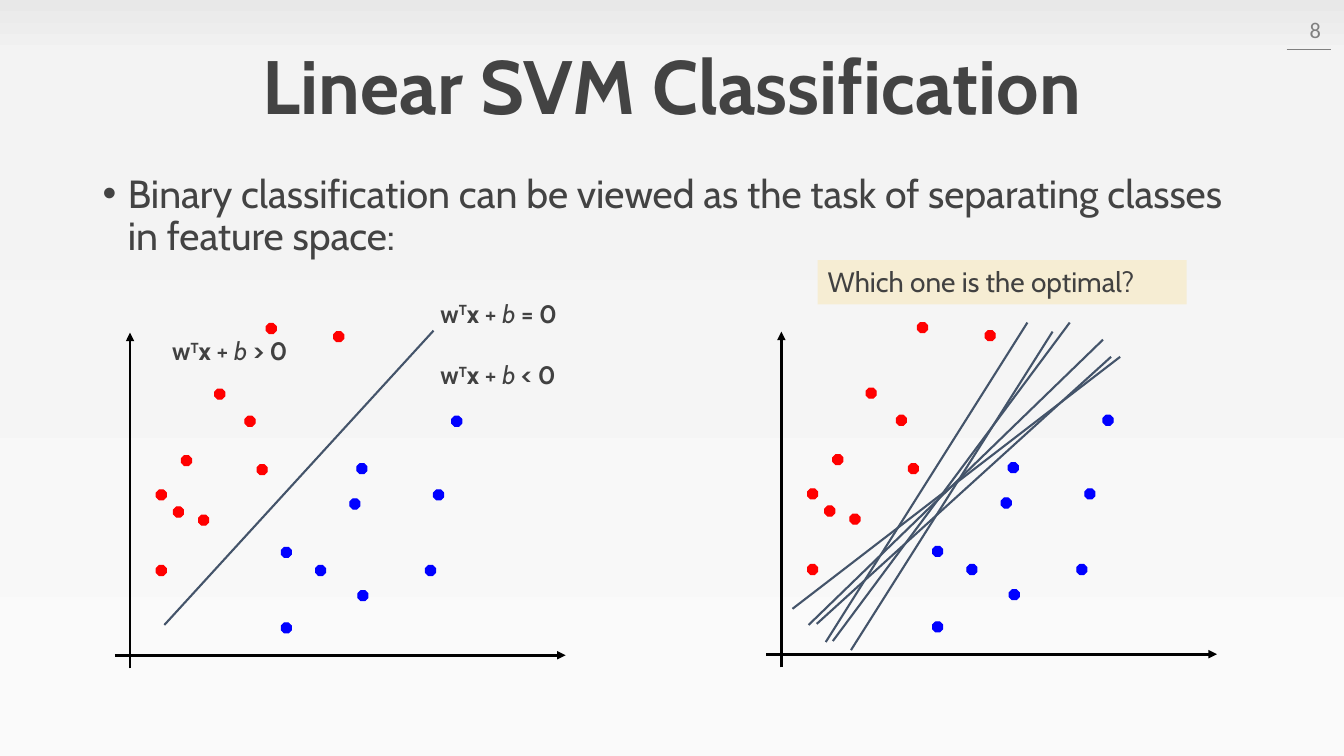
from dataclasses import dataclass

from lxml import etree
from pptx import Presentation
from pptx import util as u
from pptx.dml.color import RGBColor
from pptx.enum import shapes, text
from pptx.oxml.ns import qn

PX = 9144  # EMU per px, 100 px to the inch


@dataclass(frozen=True)
class Theme:
    font: str = "Cabin"
    number_font: str = "Calibri"
    heading: str = "434343"
    ink: str = "414141"
    grey: str = "808080"
    axis: str = "000000"
    separator: str = "44546A"
    positive: str = "FF0000"
    negative: str = "0000FF"
    callout: str = "F6EDD3"
    backdrop: tuple = ((0, "FAFAFA"), (84, "F3F3F3"), (94, "F0F0F0"), (100, "E8E8E8"))
    title_size: int = 54
    body_size: int = 28
    question_size: int = 20
    formula_size: int = 18
    number_size: int = 16


class SlideBuilder:
    def __init__(self, slide, theme):
        self.slide, self.theme = slide, theme

    def background(self):
        fill = self.slide.background.fill
        fill.gradient()
        fill.gradient_angle = 90
        stops = next(self.slide.element.iter(qn("a:gsLst")))
        for stop in list(stops):
            stops.remove(stop)
        for percent, color in self.theme.backdrop:
            stop = etree.SubElement(stops, qn("a:gs"), pos=str(percent * 1000))
            etree.SubElement(stop, qn("a:srgbClr"), val=color)

    def style(self, run, size, color, bold=False, font=None):
        run.font.name = font or self.theme.font
        run.font.size = u.Pt(size)
        run.font.bold = bold
        run.font.color.rgb = RGBColor.from_string(color)

    def label(self, box, words, size, color, bold=False, font=None, fill=None,
              align=text.PP_ALIGN.LEFT, anchor=text.MSO_ANCHOR.TOP):
        shape = self.slide.shapes.add_textbox(*(n * PX for n in box))
        if fill:
            shape.fill.solid()
            shape.fill.fore_color.rgb = RGBColor.from_string(fill)
        frame = shape.text_frame
        frame.word_wrap = True
        frame.vertical_anchor = anchor
        frame.text = words
        paragraph = frame.paragraphs[0]
        paragraph.alignment = align
        for run in paragraph.runs:
            self.style(run, size, color, bold, font)
        return paragraph

    def bullet(self, box, words):
        paragraph = self.label(box, words, self.theme.body_size, self.theme.heading)
        paragraph.line_spacing = 0.9
        props = paragraph._p.get_or_add_pPr()
        props.set("marL", str(25 * PX))
        props.set("indent", str(-25 * PX))
        etree.SubElement(props, qn("a:buFont"), typeface="Arial")
        etree.SubElement(props, qn("a:buChar"), char="•")

    def formula(self, left, top, relation):
        paragraph = self.label((left, top, 292, 40), "", self.theme.formula_size, self.theme.ink)
        for part in ("w", "T", "x ", "+ ", "b", f" {relation} 0"):
            run = paragraph.add_run()
            run.text = part
            self.style(run, self.theme.formula_size, self.theme.ink, bold=part not in ("+ ", "b"))
            run.font.italic = part == "b"
            if part == "T":
                run.font._element.set("baseline", "30000")

    def line(self, x1, y1, x2, y2, color, width, arrow=False, parent=None):
        connector = (parent or self.slide).shapes.add_connector(
            shapes.MSO_CONNECTOR.STRAIGHT, x1 * PX, y1 * PX, x2 * PX, y2 * PX)
        connector.line.color.rgb = RGBColor.from_string(color)
        connector.line.width = u.Pt(width)
        if arrow:
            etree.SubElement(connector.line._get_or_add_ln(), qn("a:tailEnd"), type="triangle")
        etree.SubElement(connector._element.spPr, qn("a:effectLst"))

    def dot(self, left, top, color, parent):
        dot = parent.shapes.add_shape(
            shapes.MSO_SHAPE.OCTAGON, left * PX, top * PX, 10 * PX, 10 * PX)
        dot.shadow.inherit = False
        dot.fill.solid()
        dot.fill.fore_color.rgb = dot.line.color.rgb = RGBColor.from_string(color)
        dot.line.width = u.Pt(0.75)

    def plot(self, dx, dy, separators):
        group = self.slide.shapes.add_group_shape()
        for x1, y1, x2, y2 in AXES:
            self.line(x1 + dx, y1 + dy, x2 + dx, y2 + dy, self.theme.axis, 2, True, group)
        for points, color in ((POSITIVE, self.theme.positive), (NEGATIVE, self.theme.negative)):
            for left, top in points:
                self.dot(left + dx, top + dy, color, group)
        for separator in separators:
            self.line(*separator, self.theme.separator, 1.5, parent=group)


# Data shared by both plots
AXES = ((129, 663, 129, 330), (114, 650, 561, 650))
POSITIVE = ((243, 413), (180, 452), (197, 511), (155, 561), (213, 386),
            (155, 486), (172, 503), (255, 461), (264, 321), (331, 329))
NEGATIVE = ((354, 460), (313, 561), (422, 561), (279, 618), (347, 495),
            (279, 543), (355, 586), (430, 486), (448, 413))
SINGLE_SEPARATOR = ((163, 620, 430, 328),)
CANDIDATE_SEPARATORS = ((810, 619, 1102, 354), (826, 636, 1061, 320), (786, 604, 1111, 354),
                        (844, 645, 1044, 329), (819, 637, 1019, 320), (802, 620, 1094, 337))


def main():
    deck = Presentation()
    deck.slide_width, deck.slide_height = 1333 * PX, 750 * PX
    theme = Theme()
    page = SlideBuilder(deck.slides.add_slide(deck.slide_layouts[6]), theme)

    # Backdrop, slide number and title
    page.background()
    page.line(1276, 49, 1320, 49, theme.grey, 1)
    page.label((1264, 9, 56, 40), "8", theme.number_size, theme.grey, font=theme.number_font,
               align=text.PP_ALIGN.RIGHT, anchor=text.MSO_ANCHOR.MIDDLE)
    title = page.label((0, 29, 1333, 120), "Linear SVM Classification", theme.title_size,
                       theme.heading, bold=True, align=text.PP_ALIGN.CENTER,
                       anchor=text.MSO_ANCHOR.MIDDLE)
    title.line_spacing = 0.9

    # Statement
    page.bullet((92, 168, 1150, 508), "Binary classification can be viewed as the task of "
                "separating classes in feature space:")

    # Left plot: one separator and its formulas
    page.plot(0, 0, SINGLE_SEPARATOR)
    for left, top, relation in ((427, 291, "="), (427, 352, "<"), (161, 328, ">")):
        page.formula(left, top, relation)

    # Right plot: candidate separators and the question
    page.plot(646, -1, CANDIDATE_SEPARATORS)
    page.label((811, 258, 366, 44), "Which one is the optimal?", theme.question_size,
               theme.ink, fill=theme.callout)

    deck.save("out.pptx")


if __name__ == "__main__":
    main()
